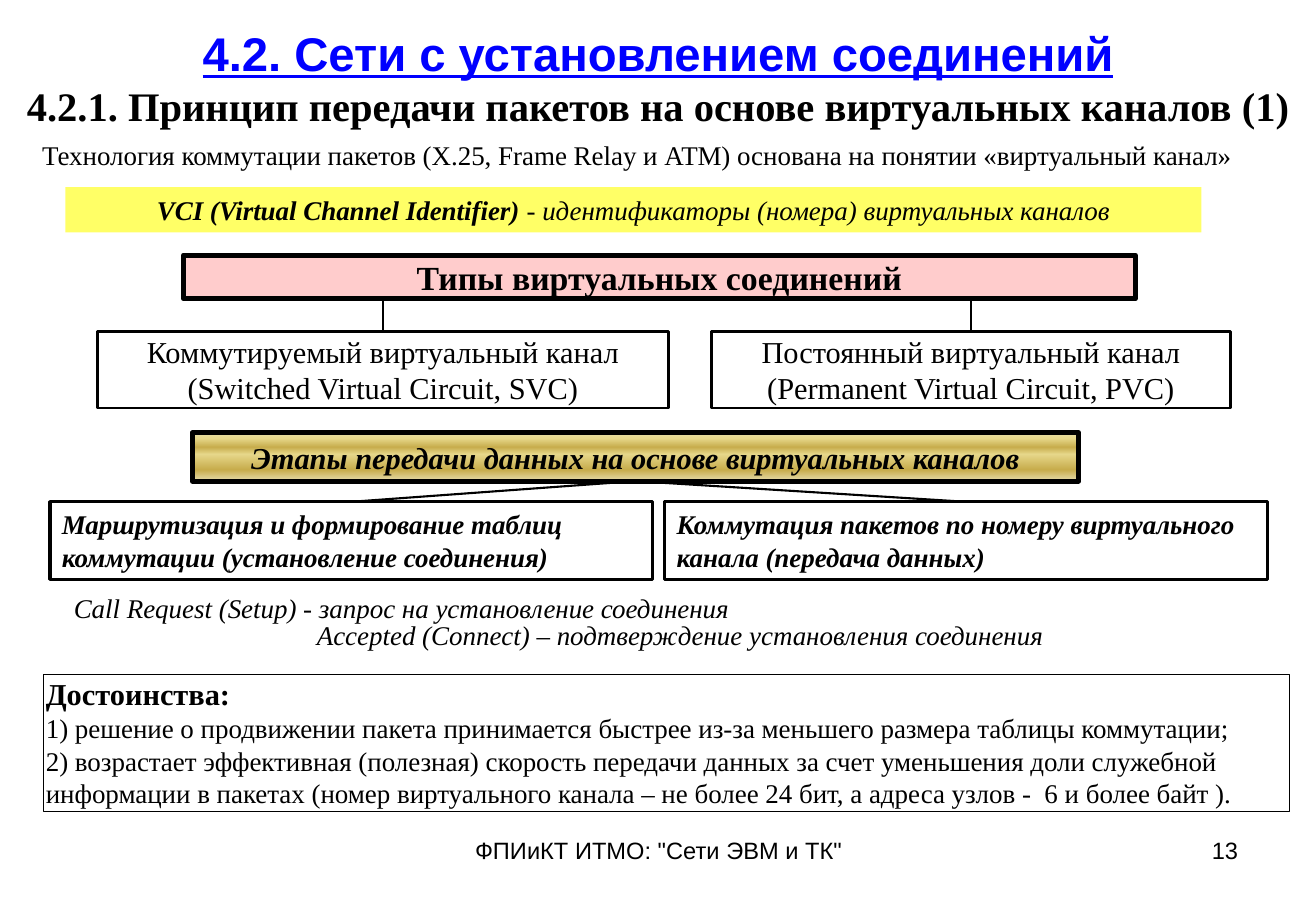
import dataclasses

import lxml.etree
import pptx
import pptx.dml.color
import pptx.enum.shapes
import pptx.enum.text
import pptx.oxml
import pptx.oxml.ns
import pptx.util

Pt = pptx.util.Pt
Inches = pptx.util.Inches
ALIGN = pptx.enum.text.PP_ALIGN
ANCHOR = pptx.enum.text.MSO_ANCHOR

COLORS = {"ink": "000000", "title": "0000FF", "pink": "FFCCCC", "yellow": "FFFF66",
          "gold_light": "E6DCAC", "gold": "E6D78A", "gold_dark": "C7AC4C"}
GOLD_STOPS = [(0, "gold_light"), (12, "gold"), (30, "gold_dark"),
              (45, "gold"), (77, "gold_dark"), (100, "gold_light")]
SERIF, SANS = "Times New Roman", "Arial"
NORMAL_INSETS = (0.1, 0.05)
TIGHT_INSETS = (0.02, 0.01)


@dataclasses.dataclass
class Box:
    left: int
    top: int
    width: int
    height: int

    def inner(self, left, top, width, height):
        """Inner box, given in percent of this one."""
        return Box(int(self.left + self.width * left / 100),
                   int(self.top + self.height * top / 100),
                   int(self.width * width / 100), int(self.height * height / 100))

    @property
    def bounds(self):
        return self.left, self.top, self.width, self.height

    @property
    def center(self):
        return self.left + self.width // 2

    @property
    def bottom(self):
        return self.top + self.height


def rgb(name):
    return pptx.dml.color.RGBColor.from_string(COLORS[name])


def add_span(para, text, size, bold=False, italic=False, underline=False,
             font=SERIF, color="ink"):
    span = para.add_run()
    span.text = text
    span.font.name, span.font.size = font, Pt(size)
    span.font.bold, span.font.italic, span.font.underline = bold, italic, underline
    span.font.color.rgb = rgb(color)


def write(shape, paras, align=ALIGN.LEFT, insets=NORMAL_INSETS, anchor=ANCHOR.TOP):
    """Fill a shape with paragraphs, each a list of (text, format) spans."""
    frame = shape.text_frame
    frame.word_wrap = True
    frame.auto_size = pptx.enum.text.MSO_AUTO_SIZE.NONE
    frame.vertical_anchor = anchor
    frame.margin_left = frame.margin_right = Inches(insets[0])
    frame.margin_top = frame.margin_bottom = Inches(insets[1])
    for number, spans in enumerate(paras):
        para = frame.add_paragraph() if number else frame.paragraphs[0]
        para.alignment = align
        for text, style in spans:
            add_span(para, text, **style)
    return frame


def add_text(page, box, paras, **options):
    return write(page.shapes.add_textbox(*box.bounds), paras, **options)


def add_panel(page, box, paras, fill=None, line=None, **options):
    panel = page.shapes.add_shape(pptx.enum.shapes.MSO_SHAPE.RECTANGLE, *box.bounds)
    panel.shadow.inherit = False
    if fill == "gold_bands":
        fill_gold_bands(panel)
    elif fill:
        panel.fill.solid()
        panel.fill.fore_color.rgb = rgb(fill)
    else:
        panel.fill.background()
    if line:
        panel.line.color.rgb = rgb("ink")
        panel.line.width = Pt(line)
    else:
        panel.line.fill.background()
    write(panel, paras, **options)


def fill_gold_bands(panel):
    panel.fill.gradient()
    panel.fill.gradient_angle = 270
    qn = pptx.oxml.ns.qn
    stops = panel._element.spPr.find(qn("a:gradFill")).find(qn("a:gsLst"))
    for stop in list(stops):
        stops.remove(stop)
    for percent, color in GOLD_STOPS:
        stop = lxml.etree.SubElement(stops, qn("a:gs"), pos=str(percent * 1000))
        lxml.etree.SubElement(stop, qn("a:srgbClr"), val=COLORS[color])


def add_line(page, start, end, width):
    line = page.shapes.add_connector(pptx.enum.shapes.MSO_CONNECTOR.STRAIGHT, *start, *end)
    line.line.color.rgb = rgb("ink")
    line.line.width = Pt(width)
    lxml.etree.SubElement(line._element.spPr, pptx.oxml.ns.qn("a:effectLst"))


def add_header(page, box):
    title = page.shapes.title
    title.left, title.top, title.width, title.height = box.bounds
    write(title, [
        [("4.2. Сети с установлением соединений",
          dict(size=28, bold=True, underline=True, font=SANS, color="title"))],
        [("4.2.1. Принцип передачи пакетов на основе виртуальных каналов (1)",
          dict(size=24, bold=True))],
    ], align=ALIGN.CENTER, anchor=ANCHOR.MIDDLE)


def add_intro(page, box):
    add_text(page, box.inner(0, 0, 100, 45), [[
        ("Технология коммутации пакетов (Х.25, Frame Relay и АТМ) основана "
         "на понятии «виртуальный канал»", dict(size=16))]])
    add_panel(page, box.inner(2.8, 55, 90.4, 45), [[
        ("VCI (Virtual Channel Identifier)", dict(size=16, bold=True, italic=True)),
        (" - идентификаторы (номера) виртуальных каналов", dict(size=16, italic=True)),
    ]], fill="yellow", align=ALIGN.CENTER)


def add_types(page, box):
    heading = box.inner(7.6, 0, 84, 28.6)
    add_panel(page, heading, [[("Типы виртуальных соединений", dict(size=20, bold=True))]],
              fill="pink", line=3, align=ALIGN.CENTER, insets=(0.06, 0.01))
    kinds = [
        (0, 50.4, "Коммутируемый виртуальный канал", "(Switched Virtual Circuit, SVC)"),
        (54.2, 45.8, "Постоянный виртуальный канал", "(Permanent Virtual Circuit, PVC)"),
    ]
    for left, width, *lines in kinds:
        kind = box.inner(left, 50, width, 50)
        add_panel(page, kind, [[(text, dict(size=18))] for text in lines],
                  line=1.5, align=ALIGN.CENTER, insets=TIGHT_INSETS)
        add_line(page, (kind.center, kind.top), (kind.center, heading.bottom), 0.75)


def add_stages(page, box):
    heading = box.inner(11.7, 0, 72.8, 33)
    add_panel(page, heading, [[("Этапы передачи данных на основе виртуальных каналов",
                                dict(size=18, bold=True, italic=True))]],
              fill="gold_bands", line=3, align=ALIGN.CENTER)
    stages = [
        (0, "Маршрутизация и формирование таблиц коммутации (установление соединения)"),
        (50.5, "Коммутация пакетов по номеру виртуального канала (передача данных)"),
    ]
    for left, text in stages:
        stage = box.inner(left, 47.1, 49.5, 52.9)
        add_panel(page, stage, [[(text, dict(size=16, bold=True, italic=True))]], line=2)
        add_line(page, (heading.center, heading.bottom), (stage.center, stage.top), 1.25)


def add_messages(page, box):
    style = dict(size=16, italic=True)
    frame = add_text(page, box, [
        [("Call Request (Setup) - запрос на установление соединения", style)],
        [("Accepted (Сonnect) – подтверждение установления соединения", style)],
    ])
    accepted = frame.paragraphs[1]
    accepted.line_spacing = accepted.space_before = Pt(8)
    accepted._p.get_or_add_pPr().set("marL", str(Inches(2)))


def add_advantages(page, box):
    add_panel(page, box, [
        [("Достоинства:", dict(size=18, bold=True))],
        [("1) решение о продвижении пакета принимается быстрее из-за меньшего "
          "размера таблицы коммутации;", dict(size=16))],
        [("2) возрастает эффективная (полезная) скорость передачи данных за счет "
          "уменьшения доли служебной информации в пакетах (номер виртуального канала – "
          "не более 24 бит, а адреса узлов -  6 и более байт ).", dict(size=16))],
    ], line=0.75, insets=TIGHT_INSETS)


def add_footer(page, box):
    style = dict(size=14, font=SANS)
    add_text(page, box.inner(34.2, 0, 31.7, 100),
             [[('ФПИиКТ ИТМО: "Сети ЭВМ и ТК"', style)]], align=ALIGN.CENTER)
    add_text(page, box.inner(71.7, 0, 23.3, 100), [[("13", style)]], align=ALIGN.RIGHT)


def main():
    deck = pptx.Presentation()
    deck.slide_width, deck.slide_height = Inches(10.83), Inches(7.5)
    page = deck.slides.add_slide(deck.slide_layouts[5])
    whole = Box(0, 0, deck.slide_width, deck.slide_height)
    add_header(page, whole.inner(0, 0.1, 100, 16.7))
    add_intro(page, whole.inner(2.3, 14.5, 95.5, 11))
    add_types(page, whole.inner(7.4, 28, 86.1, 16.8))
    add_stages(page, whole.inner(3.8, 47.5, 92.5, 16.1))
    add_messages(page, whole.inner(4.7, 64.3, 92.1, 8.3))
    add_advantages(page, whole.inner(3.3, 74, 94.7, 15.1))
    add_footer(page, whole.inner(0, 91.1, 100, 6.9))
    deck.save("out.pptx")


if __name__ == "__main__":
    main()
